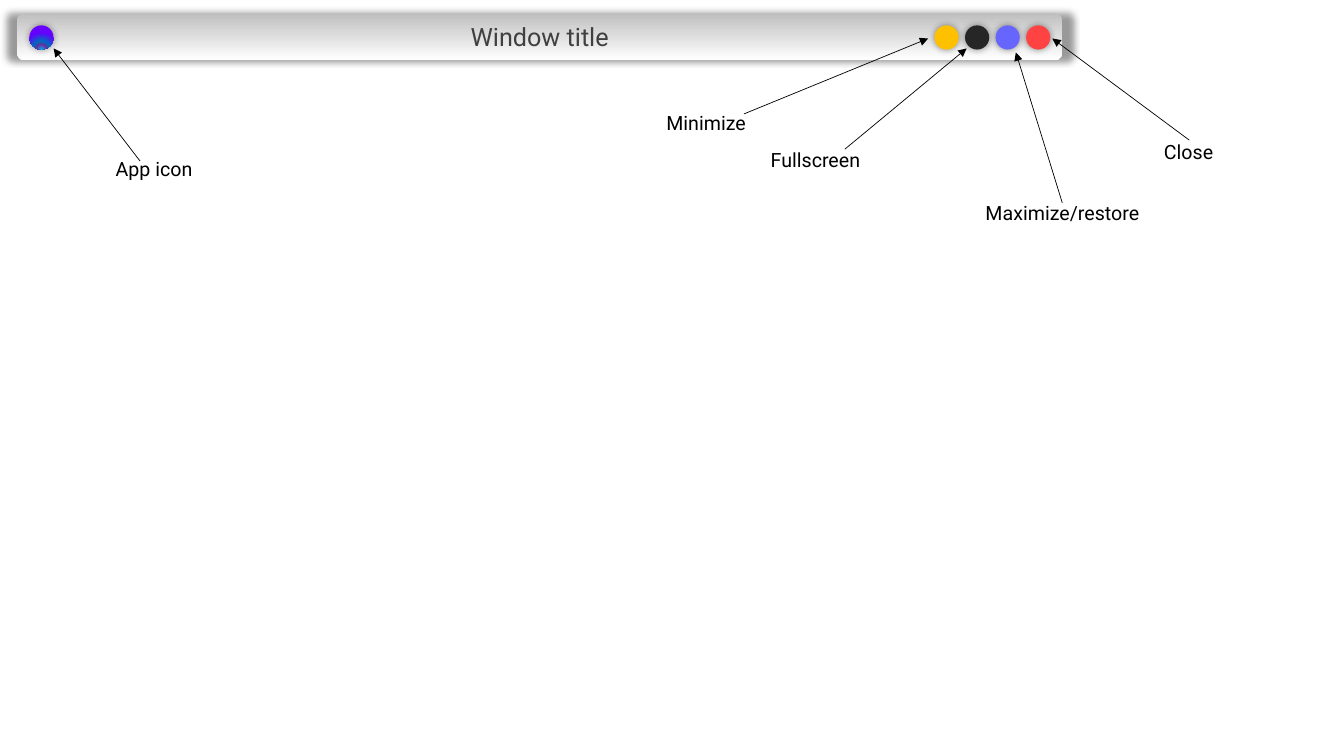
from dataclasses import dataclass

from lxml.etree import SubElement
from pptx import Presentation
from pptx.dml.color import RGBColor
from pptx.enum.shapes import MSO_CONNECTOR, MSO_SHAPE
from pptx.enum.text import MSO_ANCHOR, MSO_AUTO_SIZE, PP_ALIGN
from pptx.oxml import parse_xml
from pptx.oxml.ns import nsdecls, qn
from pptx.util import Cm, Pt


@dataclass(frozen=True)
class Theme:
    font: str = "Roboto"
    title_size: int = 18
    label_size: int = 14
    title: str = "404040"
    ink: str = "000000"
    bar: tuple = ((0, "BFBFBF"), (100, "FFFFFF"))
    icon: tuple = ((0, "00B0F0"), (29, "7030A0"), (46, "0070C0"), (100, "6600FF"))
    minimize: str = "FFC000"
    fullscreen: str = "262626"
    maximize: str = "6666FF"
    close: str = "FF4343"


theme = Theme()


def write(holder, text, size=theme.label_size, color=theme.ink, wrap=False,
          anchor=MSO_ANCHOR.TOP, fit=MSO_AUTO_SIZE.SHAPE_TO_FIT_TEXT):
    frame = holder.text_frame
    frame.word_wrap = wrap
    frame.auto_size = fit
    frame.vertical_anchor = anchor
    paragraph = frame.paragraphs[0]
    paragraph.alignment = PP_ALIGN.CENTER
    run = paragraph.add_run()
    run.text = text
    run.font.name = theme.font
    run.font.size = Pt(size)
    run.font.color.rgb = RGBColor.from_string(color)


def add_part(kind, box, paint, direction=""):
    """Add a borderless shape with a soft glow; paint is a colour or gradient stops."""
    part = slide.shapes.add_shape(kind, *map(Cm, box))
    part.line.fill.background()
    if direction:
        stops = "".join(f'<a:gs pos="{pos * 1000}"><a:srgbClr val="{color}"/></a:gs>'
                        for pos, color in paint)
        part._element.spPr.find(qn("a:prstGeom")).addnext(parse_xml(
            f'<a:gradFill {nsdecls("a")} rotWithShape="1">'
            f"<a:gsLst>{stops}</a:gsLst>{direction}</a:gradFill>"))
    else:
        part.fill.solid()
        part.fill.fore_color.rgb = RGBColor.from_string(paint)
    part.shadow.inherit = False
    part._element.spPr.find(qn("a:effectLst")).append(parse_xml(
        f'<a:outerShdw {nsdecls("a")} blurRad="63500" sx="102000" sy="102000" '
        f'algn="ctr" rotWithShape="0"><a:srgbClr val="{theme.ink}">'
        '<a:alpha val="40000"/></a:srgbClr></a:outerShdw>'))


presentation = Presentation()
presentation.slide_width, presentation.slide_height = Cm(33.87), Cm(19.05)
slide = presentation.slides.add_slide(presentation.slide_layouts[5])

# Title bar, with the window title above it
bar_box = (0.43, 0.33, 26.34, 1.19)
add_part(MSO_SHAPE.ROUNDED_RECTANGLE, bar_box, theme.bar,
         '<a:lin ang="5400000" scaled="0"/>')
window_title = slide.shapes.title
window_title.left, window_title.top, window_title.width, window_title.height = map(Cm, bar_box)
write(window_title, "Window title", size=theme.title_size, color=theme.title,
      wrap=True, anchor=MSO_ANCHOR.MIDDLE, fit=MSO_AUTO_SIZE.NONE)
slide.shapes._spTree.append(window_title._element)

# Window buttons at an even pitch, then the app icon
button_size, button_top, button_pitch = 0.61, 0.64, 0.77
buttons = (theme.minimize, theme.fullscreen, theme.maximize, theme.close)
for place, color in enumerate(buttons):
    add_part(MSO_SHAPE.OVAL, (23.55 + place * button_pitch, button_top,
                              button_size, button_size), color)
add_part(MSO_SHAPE.OVAL, (0.74, button_top, button_size, button_size), theme.icon,
         '<a:path path="circle">'
         '<a:fillToRect l="50000" t="130000" r="50000" b="-30000"/></a:path>')

# Callouts: label, its left, top and width, arrow start and arrow end
callouts = (
    ("Minimize", (16.51, 2.67, 2.57), (18.75, 2.87), (23.39, 0.97)),
    ("Fullscreen", (19.13, 3.61, 2.84), (21.29, 3.76), (24.36, 1.22)),
    ("Maximize/restore", (24.54, 4.93, 4.47), (26.77, 5.11), (25.6, 1.32)),
    ("Close", (29.08, 3.4, 1.75), (29.97, 3.53), (26.52, 0.97)),
    ("App icon", (2.64, 3.84, 2.49), (3.53, 4.06), (1.35, 1.22)),
)
for text, place, start, end in callouts:
    arrow = slide.shapes.add_connector(MSO_CONNECTOR.STRAIGHT, *map(Cm, start + end))
    arrow.line.color.rgb = RGBColor.from_string(theme.ink)
    arrow.line.width = Pt(0.5)
    SubElement(arrow.line._get_or_add_ln(), qn("a:tailEnd"), type="triangle")
    SubElement(arrow._element.spPr, qn("a:effectLst"))
    label = slide.shapes.add_textbox(*map(Cm, place + (0.86,)))
    write(label, text)

presentation.save("out.pptx")
